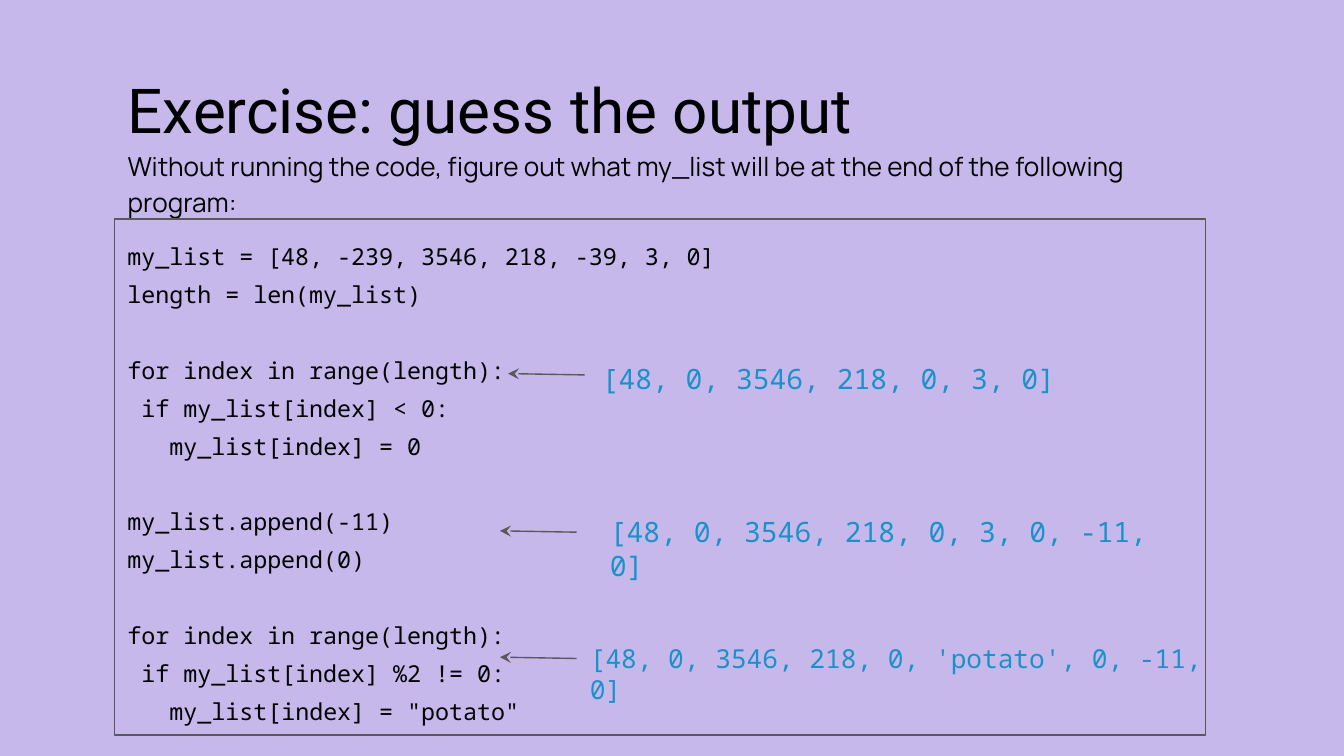
from dataclasses import dataclass

from lxml.etree import SubElement
from pptx import Presentation
from pptx.dml.color import RGBColor
from pptx.enum.shapes import MSO_CONNECTOR, MSO_SHAPE
from pptx.enum.text import MSO_ANCHOR, MSO_AUTO_SIZE, PP_ALIGN
from pptx.oxml.ns import qn
from pptx.util import Inches, Pt


@dataclass(frozen=True)
class Theme:
    back: RGBColor = RGBColor(0xC6, 0xB8, 0xEB)
    ink: RGBColor = RGBColor(0, 0, 0)
    edge: RGBColor = RGBColor(0x59, 0x59, 0x59)
    hint: RGBColor = RGBColor(0x1B, 0x91, 0xCA)
    head: str = "Roboto"
    body: str = "Manrope"
    mono: str = "Noto Sans Mono"
    title: float = 33.2
    lead: float = 14
    code: float = 12.5
    note: float = 15
    small: float = 14
    rule: float = 0.75


THEME = Theme()
LEFT, WIDTH = 0.85, 8.12
CHAR = 0.6 * THEME.code / 72  # width of one code character, in inches
GAP = 20  # space between code blocks, in points

# Each block holds lines as (indent in characters, text).
BLOCKS = [
    [(0, "my_list = [48, -239, 3546, 218, -39, 3, 0]"),
     (0, "length = len(my_list)")],
    [(0, "for index in range(length):"),
     (1, "if my_list[index] < 0:"),
     (3, "my_list[index] = 0")],
    [(0, "my_list.append(-11)"),
     (0, "my_list.append(0)")],
    [(0, "for index in range(length):"),
     (1, "if my_list[index] %2 != 0:"),
     (3, 'my_list[index] = "potato"')],
]

# Text, left, top, width, type size, arrow tip x, arrow tip y
NOTES = [
    ("[48, 0, 3546, 218, 0, 3, 0]", 4.38, 2.59, 4.24, THEME.note, 3.78, 2.78),
    ("[48, 0, 3546, 218, 0, 3, 0, -11, 0]", 4.44, 3.73, 4.24, THEME.note, 3.72, 3.95),
    ("[48, 0, 3546, 218, 0, 'potato', 0, -11, 0]", 4.29, 4.68, 4.99, THEME.small, 3.72, 4.89),
]


def set_frame(frame):
    frame.word_wrap = True
    frame.auto_size = MSO_AUTO_SIZE.NONE
    frame.vertical_anchor = MSO_ANCHOR.TOP
    frame.margin_left = frame.margin_right = Inches(0.1)
    frame.margin_top = frame.margin_bottom = Inches(0.1)


def write(frame, text, *, font, size, color=THEME.ink, lines=1.0, before=0, indent=0):
    """Fill the empty first paragraph, or add one below the last."""
    para = frame.paragraphs[-1]
    if para.runs:
        para = frame.add_paragraph()
    para.alignment = PP_ALIGN.LEFT
    para.line_spacing = lines
    para.space_before = Pt(before)
    if indent:
        para._p.get_or_add_pPr().set("marL", str(Inches(indent)))
    run = para.add_run()
    run.text = text
    run.font.name = font
    run.font.size = Pt(size)
    run.font.color.rgb = color


def add_code(slide):
    box = slide.shapes.add_shape(
        MSO_SHAPE.RECTANGLE, Inches(LEFT), Inches(1.63), Inches(WIDTH), Inches(3.84))
    box.shadow.inherit = False
    box.fill.background()
    box.line.color.rgb = THEME.edge
    box.line.width = Pt(THEME.rule)
    set_frame(box.text_frame)
    for num, block in enumerate(BLOCKS):
        for row, (depth, text) in enumerate(block):
            write(box.text_frame, text, font=THEME.mono, size=THEME.code, lines=1.36,
                  before=GAP if num and not row else 0, indent=depth * CHAR)


def add_title(slide):
    title = slide.shapes.title
    title.left, title.top = Inches(LEFT), Inches(0.43)
    title.width, title.height = Inches(WIDTH), Inches(1.27)
    set_frame(title.text_frame)
    write(title.text_frame, "Exercise: guess the output", font=THEME.head, size=THEME.title)
    write(title.text_frame,
          "Without running the code, figure out what my_list will be "
          "at the end of the following program:",
          font=THEME.body, size=THEME.lead, lines=1.15)


def add_arrow(slide, x, y):
    """Draw an arrow that points left, with its tip at x, y."""
    arrow = slide.shapes.add_connector(
        MSO_CONNECTOR.STRAIGHT, Inches(x + 0.57), Inches(y + 0.01), Inches(x), Inches(y))
    arrow.line.color.rgb = THEME.edge
    arrow.line.width = Pt(THEME.rule)
    SubElement(arrow.line._get_or_add_ln(), qn("a:tailEnd"), type="stealth")
    SubElement(arrow._element.spPr, qn("a:effectLst"))


def add_note(slide, text, left, top, width, size):
    box = slide.shapes.add_textbox(Inches(left), Inches(top), Inches(width), Inches(0.45))
    set_frame(box.text_frame)
    write(box.text_frame, text, font=THEME.mono, size=size, color=THEME.hint)


def main():
    deck = Presentation()
    deck.slide_width = Inches(10)
    deck.slide_height = deck.slide_width * 9 // 16
    slide = deck.slides.add_slide(deck.slide_layouts[5])
    slide.background.fill.solid()
    slide.background.fill.fore_color.rgb = THEME.back
    add_title(slide)
    add_code(slide)
    for text, left, top, width, size, x, y in NOTES:
        add_note(slide, text, left, top, width, size)
        add_arrow(slide, x, y)
    deck.save("out.pptx")


if __name__ == "__main__":
    main()
